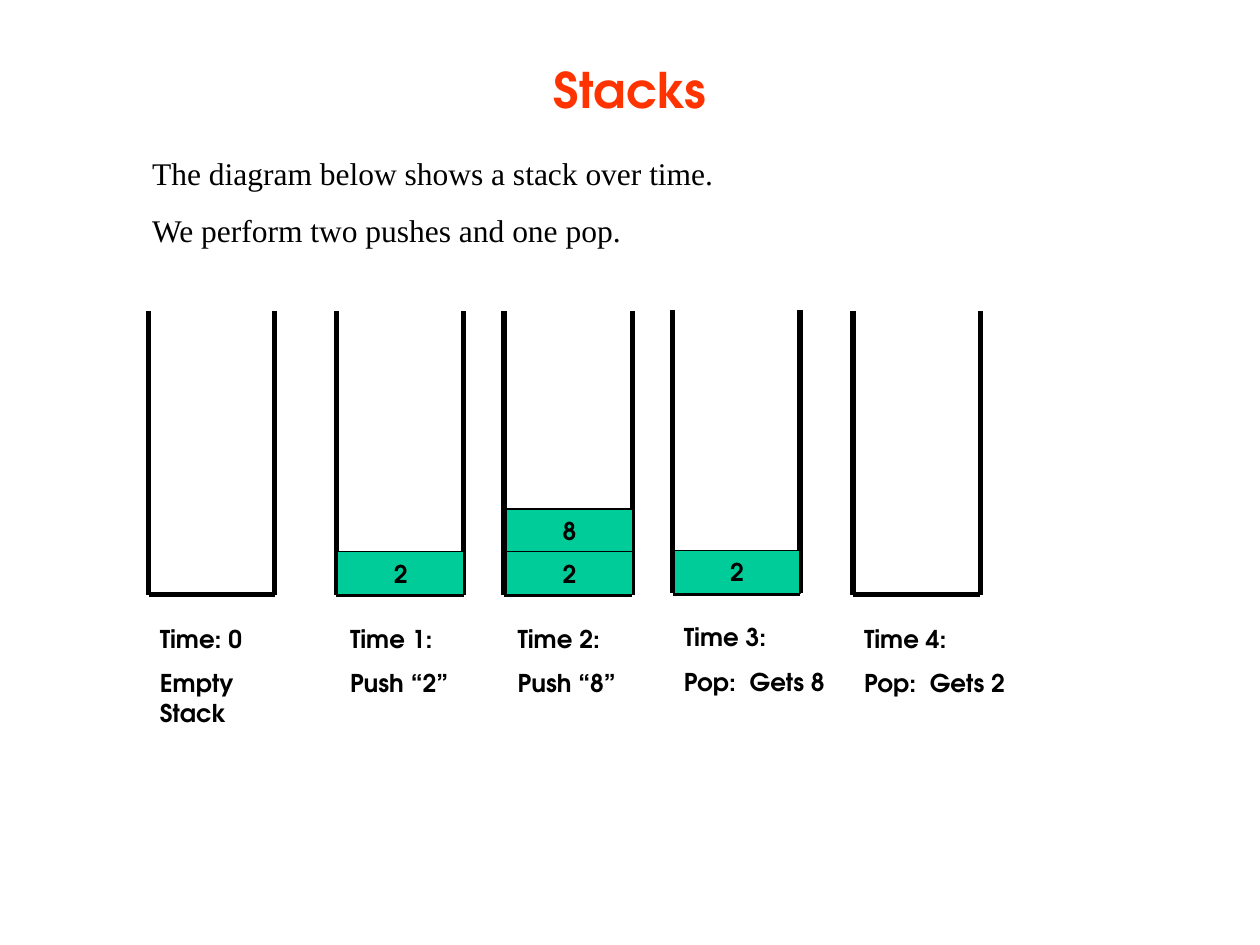
"""Build a slide that shows a stack over time."""
from lxml import etree
from pptx import Presentation
from pptx.dml.color import RGBColor
from pptx.enum.shapes import MSO_CONNECTOR, MSO_SHAPE
from pptx.enum.text import MSO_ANCHOR, PP_ALIGN
from pptx.oxml.ns import qn
from pptx.util import Inches, Pt


def color(value):
    return RGBColor.from_string(value)


def write(sp, lines, size, font="TeX Gyre Adventor", bold=True, fill="000000",
          align=PP_ALIGN.LEFT, anchor=MSO_ANCHOR.TOP, before=8.8):
    tf = sp.text_frame
    tf.word_wrap = True
    tf.vertical_anchor = anchor
    tf.text = "\n".join(lines)
    for p in tf.paragraphs:
        p.alignment = align
        p.space_before = Pt(before)
        for r in p.runs:
            r.font.name = font
            r.font.size = Pt(size)
            r.font.bold = bold
            r.font.color.rgb = color(fill)


prs = Presentation()
prs.slide_width, prs.slide_height = Inches(10), Inches(7.5)
s = prs.slides.add_slide(prs.slide_layouts[6])

title = s.shapes.add_textbox(Inches(0.75), Inches(0.08), Inches(8.5), Inches(1.25))
write(title, ["Stacks"], 28, fill="FF3300", align=PP_ALIGN.CENTER,
      anchor=MSO_ANCHOR.MIDDLE, before=0)

intro = s.shapes.add_textbox(Inches(1.11), Inches(1.17), Inches(5), Inches(0.86))
write(intro, ["The diagram below shows a stack over time.",
              "We perform two pushes and one pop."],
      18, font="Times New Roman", bold=False, before=11.2)

wall_height, block_height = 2.25, 0.34
stacks = [
    (1.18, 1.00, 4.72, 1.17, 1.2, ["Time: 0", "Empty Stack"], []),
    (2.67, 1.01, 4.72, 2.68, 1.2, ["Time 1:", "Push “2”"], ["2"]),
    (4.00, 1.02, 4.72, 4.01, 1.2, ["Time 2:", "Push “8”"], ["2", "8"]),
    (5.34, 1.01, 4.71, 5.33, 1.4, ["Time 3:", "Pop:  Gets 8"], ["2"]),
    (6.77, 1.01, 4.72, 6.76, 1.4, ["Time 4:", "Pop:  Gets 2"], []),
]

for left, width, bottom, label_left, label_width, label, values in stacks:
    right, top = left + width, bottom - wall_height
    corners = [(left, top), (left, bottom), (right, bottom), (right, top)]
    for (x1, y1), (x2, y2) in zip(corners, corners[1:]):
        wall = s.shapes.add_connector(MSO_CONNECTOR.STRAIGHT, Inches(x1), Inches(y1),
                                      Inches(x2), Inches(y2))
        wall.line.color.rgb = color("000000")
        wall.line.width = Pt(3)
        etree.SubElement(wall._element.spPr, qn("a:effectLst"))

    sp = s.shapes.add_textbox(Inches(label_left), Inches(bottom + 0.18),
                              Inches(label_width), Inches(0.69))
    write(sp, label, 14)

    for level, value in enumerate(values, 1):
        block = s.shapes.add_shape(MSO_SHAPE.RECTANGLE, Inches(right - 1),
                                   Inches(bottom - level * block_height),
                                   Inches(1), Inches(block_height))
        block.shadow.inherit = False
        block.fill.solid()
        block.fill.fore_color.rgb = color("00CC99")
        block.line.color.rgb = color("000000")
        block.line.width = Pt(0.75)
        write(block, [value], 14, align=PP_ALIGN.CENTER, anchor=MSO_ANCHOR.MIDDLE)

prs.save("out.pptx")
